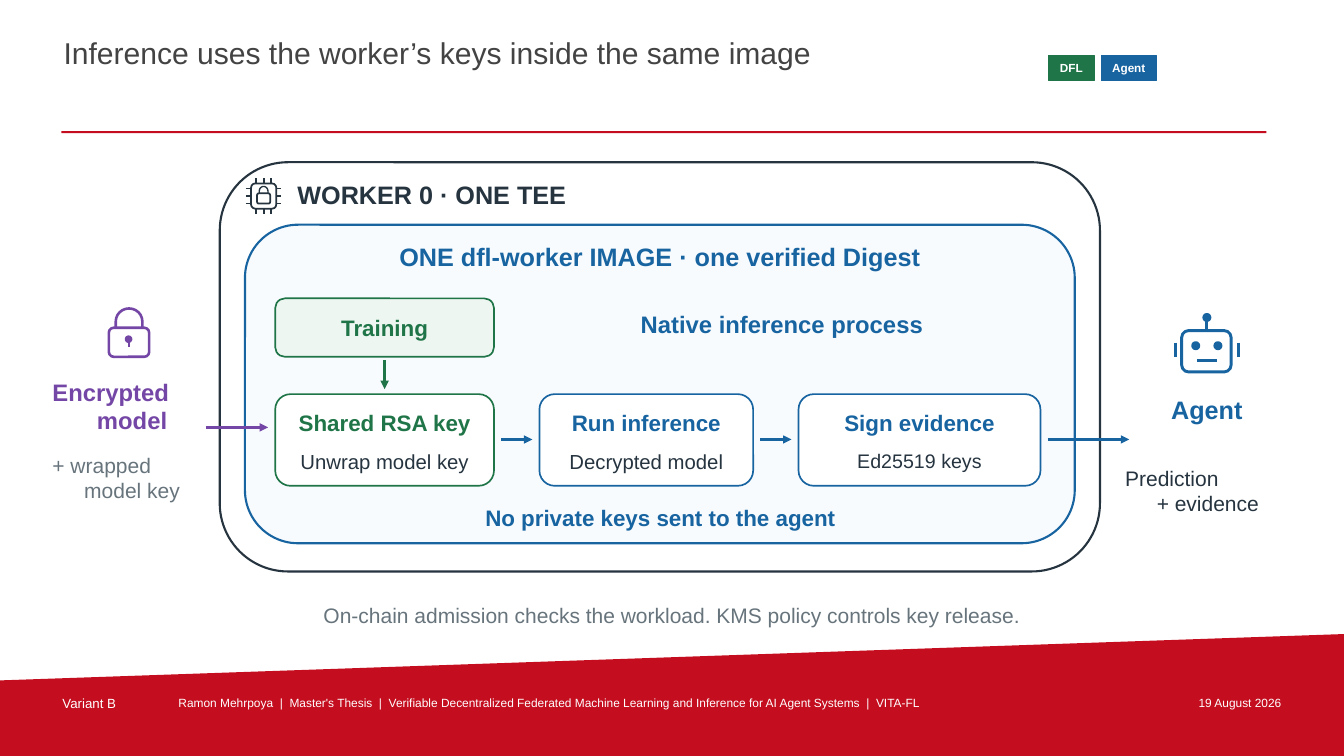
from collections import namedtuple
from dataclasses import dataclass
from math import cos, pi, sin

from lxml.etree import SubElement
from pptx import Presentation
from pptx.dml.color import RGBColor
from pptx.enum.shapes import MSO_CONNECTOR as CONN, MSO_SHAPE as SHAPE
from pptx.enum.text import MSO_ANCHOR as ANCHOR, PP_ALIGN as ALIGN
from pptx.oxml.ns import qn
from pptx.util import Inches, Pt


@dataclass(frozen=True)
class Theme:
    font: str = "Arial"
    white: str = "FFFFFF"
    red: str = "C40D1E"
    title: str = "434343"
    ink: str = "263440"
    grey: str = "67747C"
    blue: str = "1764A1"
    pale_blue: str = "F8FBFE"
    green: str = "207548"
    pale_green: str = "EDF6F0"
    purple: str = "7446A6"
    title_size: float = 21.5
    heading: float = 18
    label: float = 17
    step: float = 16
    body: float = 15
    note: float = 14.5
    small_note: float = 14
    variant: float = 9.5
    footer: float = 8.5
    badge: float = 8.4


T = Theme()


class Box(namedtuple("Box", "x y w h")):
    def sub(self, dx, dy, w, h):
        return Box(self.x + dx, self.y + dy, w, h)

    def inches(self):
        return [Inches(v) for v in self]


# Drawing helpers
def rgb(color):
    return RGBColor.from_string(color)


def outline(sp, color, width):
    sp.line.color.rgb = rgb(color)
    sp.line.width = Pt(width)


def shape(s, kind, box, fill, color=None, width=1.0):
    sp = s.shapes.add_shape(kind, *box.inches())
    sp.shadow.inherit = False
    sp.fill.solid()
    sp.fill.fore_color.rgb = rgb(fill)
    if color:
        outline(sp, color, width)
    else:
        sp.line.fill.background()
    return sp


def text(s, box, lines, size, color, bold=False, aligns=(ALIGN.CENTER,),
         anchor=ANCHOR.MIDDLE, inset=0.0):
    tf = s.shapes.add_textbox(*box.inches()).text_frame
    frame = {"word_wrap": True, "vertical_anchor": anchor}
    frame.update({f"margin_{side}": Inches(inset)
                  for side in ("left", "top", "right", "bottom")})
    for name, value in frame.items():
        setattr(tf, name, value)
    for i, (line, align) in enumerate(zip(lines.split("\n"), aligns)):
        p = tf.add_paragraph() if i else tf.paragraphs[0]
        p.alignment = align
        r = p.add_run()
        r.text = line
        for name, value in {"name": T.font, "size": Pt(size), "bold": bold}.items():
            setattr(r.font, name, value)
        r.font.color.rgb = rgb(color)


def line(s, x1, y1, x2, y2, color, width, arrow=False):
    sp = s.shapes.add_connector(CONN.STRAIGHT, *[Inches(v) for v in (x1, y1, x2, y2)])
    outline(sp, color, width)
    if arrow:
        SubElement(sp.line._get_or_add_ln(), qn("a:tailEnd"), type="triangle")
    SubElement(sp._element.spPr, qn("a:effectLst"))


def polygon(s, points, close=True):
    pts = [(Inches(x), Inches(y)) for x, y in points]
    fb = s.shapes.build_freeform(*pts[0])
    fb.add_line_segments(pts[1:], close=close)
    sp = fb.convert_to_shape()
    sp.shadow.inherit = False
    return sp


# Icons
def lock_icon(s, box, color, width, arch_width, keyhole=False):
    x, y, w, h = box
    cx, rx, ry = x + w / 2, w * 0.33, h * 0.27
    arc = [(cx - rx * cos(pi * i / 12), y + ry - ry * sin(pi * i / 12))
           for i in range(13)]
    foot = y + h * 0.46
    arch = polygon(s, [(cx - rx, foot), *arc, (cx + rx, foot)], close=False)
    arch.fill.background()
    outline(arch, color, arch_width)
    shape(s, SHAPE.ROUNDED_RECTANGLE, box.sub(0, h * 0.4, w, h * 0.6),
          T.white, color, width)
    if keyhole:
        shape(s, SHAPE.OVAL, box.sub(w / 2 - 0.03, 0.28, 0.05, 0.05), color, color, width)
        line(s, cx, y + 0.33, cx, y + 0.38, color, width)


def chip_icon(s, box):
    x, y, w, h = box
    pin, style = 0.05, (T.ink, 1.25)
    for d in (0.1, 0.175, 0.25):
        for start in (0, h - pin):
            line(s, x + d, y + start, x + d, y + start + pin, *style)
            line(s, x + start, y + d, x + start + pin, y + d, *style)
    shape(s, SHAPE.ROUNDED_RECTANGLE, box.sub(pin, pin, w - 2 * pin, h - 2 * pin),
          T.white, *style)
    lock_icon(s, box.sub(0.11, 0.08, 0.13, 0.17), T.ink, 1.25, 0.97)


def robot_icon(s, box):
    x, y, w, h = box
    style = (T.blue, 2.11)
    mid = x + w / 2
    line(s, mid, y + 0.05, mid, y + 0.16, *style)
    shape(s, SHAPE.ROUNDED_RECTANGLE, box.sub(0.06, 0.16, 0.49, 0.41), T.white, *style)
    for dx, dy in ((0.28, 0), (0.17, 0.28), (0.39, 0.28)):
        shape(s, SHAPE.OVAL, box.sub(dx, dy, 0.06, 0.06), T.blue, *style)
    for ear in (x, x + w):
        line(s, ear, y + 0.28, ear, y + 0.42, *style)
    line(s, mid - 0.1, y + 0.46, mid + 0.1, y + 0.46, *style)


# Slide regions
def header(s, box):
    text(s, box.sub(0, 0, 9.65, 0.62),
         "Inference uses the worker’s keys inside the same image",
         T.title_size, T.title, aligns=(ALIGN.LEFT,), anchor=ANCHOR.TOP, inset=0.02)
    for dx, w, name, color in ((9.79, 0.45, "DFL", T.green), (10.31, 0.55, "Agent", T.blue)):
        badge = box.sub(dx, 0.23, w, 0.25)
        shape(s, SHAPE.RECTANGLE, badge, color, color, 0.55)
        text(s, badge, name, T.badge, T.white, True)
    shape(s, SHAPE.RECTANGLE, box.sub(0, box.h - 0.02, box.w, 0.02), T.red)


def footer(s, box):
    x, y, w, h = box
    band = polygon(s, [(x, y + 0.46), (x + w, y), (x + w, y + h), (x, y + h)])
    band.fill.solid()
    band.fill.fore_color.rgb = rgb(T.red)
    band.line.fill.background()
    entries = (
        (0.6, 1, "Variant B", T.variant, ALIGN.LEFT),
        (1.75, 9.35, "Ramon Mehrpoya  |  Master's Thesis  |  Verifiable Decentralized "
         "Federated Machine Learning and Inference for AI Agent Systems  |  VITA-FL",
         T.footer, ALIGN.LEFT),
        (11.2, 1.53, "19 August 2026", T.footer, ALIGN.RIGHT),
    )
    for dx, width, words, size, align in entries:
        text(s, box.sub(dx, 0.59, width, 0.22), words, size, T.white,
             aligns=(align,), anchor=ANCHOR.TOP, inset=0.02)


def encrypted_model(s, box):
    ragged = (ALIGN.LEFT, ALIGN.CENTER)
    lock_icon(s, box.sub(0.56, 0, 0.4, 0.48), T.purple, 1.85, 1.85, keyhole=True)
    text(s, box.sub(0, 0.65, box.w, 0.64), "Encrypted\nmodel", T.label, T.purple, True, ragged)
    text(s, box.sub(0, 1.38, box.w, 0.6), "+ wrapped\nmodel key", T.body, T.grey, aligns=ragged)


def agent(s, box):
    robot_icon(s, box.sub(0.5, 0, 0.62, 0.57))
    text(s, box.sub(0.06, 0.78, 1.5, 0.32), "Agent", T.heading, T.blue, True)
    text(s, box.sub(0, 1.42, box.w, 0.66), "Prediction\n+ evidence", T.body, T.ink,
         aligns=(ALIGN.LEFT, ALIGN.CENTER))


def worker(s, box):
    shape(s, SHAPE.ROUNDED_RECTANGLE, box, T.white, T.ink, 1.5)
    chip_icon(s, box.sub(0.26, 0.16, 0.35, 0.35))
    text(s, box.sub(0.77, 0.16, 4.6, 0.32), "WORKER 0 · ONE TEE", T.heading, T.ink, True,
         aligns=(ALIGN.LEFT,))
    image(s, box.sub(0.25, 0.62, 8.23, 3.16))


def image(s, box):
    shape(s, SHAPE.ROUNDED_RECTANGLE, box, T.pale_blue, T.blue, 1.5)
    text(s, box.sub(0.22, 0.14, 7.79, 0.35), "ONE dfl-worker IMAGE · one verified Digest",
         T.heading, T.blue, True)
    training = box.sub(0.3, 0.73, 2.17, 0.58)
    shape(s, SHAPE.ROUNDED_RECTANGLE, training, T.pale_green, T.green, 1.2)
    text(s, training, "Training", T.step, T.green, True)
    mid = training.x + training.w / 2
    line(s, mid, box.y + 1.34, mid, box.y + 1.63, T.green, 1.8, arrow=True)
    text(s, box.sub(2.78, 0.81, 5.09, 0.35), "Native inference process", T.label, T.blue, True)

    # Inference steps, each followed by an arrow
    steps = (
        (2.17, "Shared RSA key", "Unwrap model key", T.green, T.note, 0.31),
        (2.12, "Run inference", "Decrypted model", T.blue, T.note, 0.31),
        (2.4, "Sign evidence", "Ed25519 keys", T.blue, T.small_note, 0.81),
    )
    dx, gap = 0.3, 0.45
    for w, name, note, color, note_size, reach in steps:
        card = box.sub(dx, 1.68, w, 0.91)
        shape(s, SHAPE.ROUNDED_RECTANGLE, card, T.white, color, 1.2)
        text(s, card.sub(0, 0.13, w, 0.31), name, T.step, color, True)
        text(s, card.sub(0, 0.52, w, 0.29), note, note_size, T.ink)
        start, y = card.x + w + 0.07, card.y + 0.45
        line(s, start, y, start + reach, y, T.blue, 2, arrow=True)
        dx += w + gap
    text(s, box.sub(0.27, 2.75, 7.7, 0.3), "No private keys sent to the agent",
         T.step, T.blue, True)


def main():
    prs = Presentation()
    prs.slide_width, prs.slide_height = Inches(13.33), Inches(7.5)
    s = prs.slides.add_slide(prs.slide_layouts[6])
    footer(s, Box(0, 6.29, 13.33, 1.21))
    header(s, Box(0.61, 0.32, 11.95, 1))
    worker(s, Box(2.18, 1.61, 8.73, 4.06))
    encrypted_model(s, Box(0.52, 3.06, 1.58, 1.98))
    line(s, 2.04, 4.24, 2.66, 4.24, T.purple, 2, arrow=True)
    agent(s, Box(11.16, 3.12, 1.64, 2.08))
    text(s, Box(0.65, 5.92, 12.03, 0.36),
         "On-chain admission checks the workload. KMS policy controls key release.",
         T.body, T.grey)
    prs.save("out.pptx")


if __name__ == "__main__":
    main()
